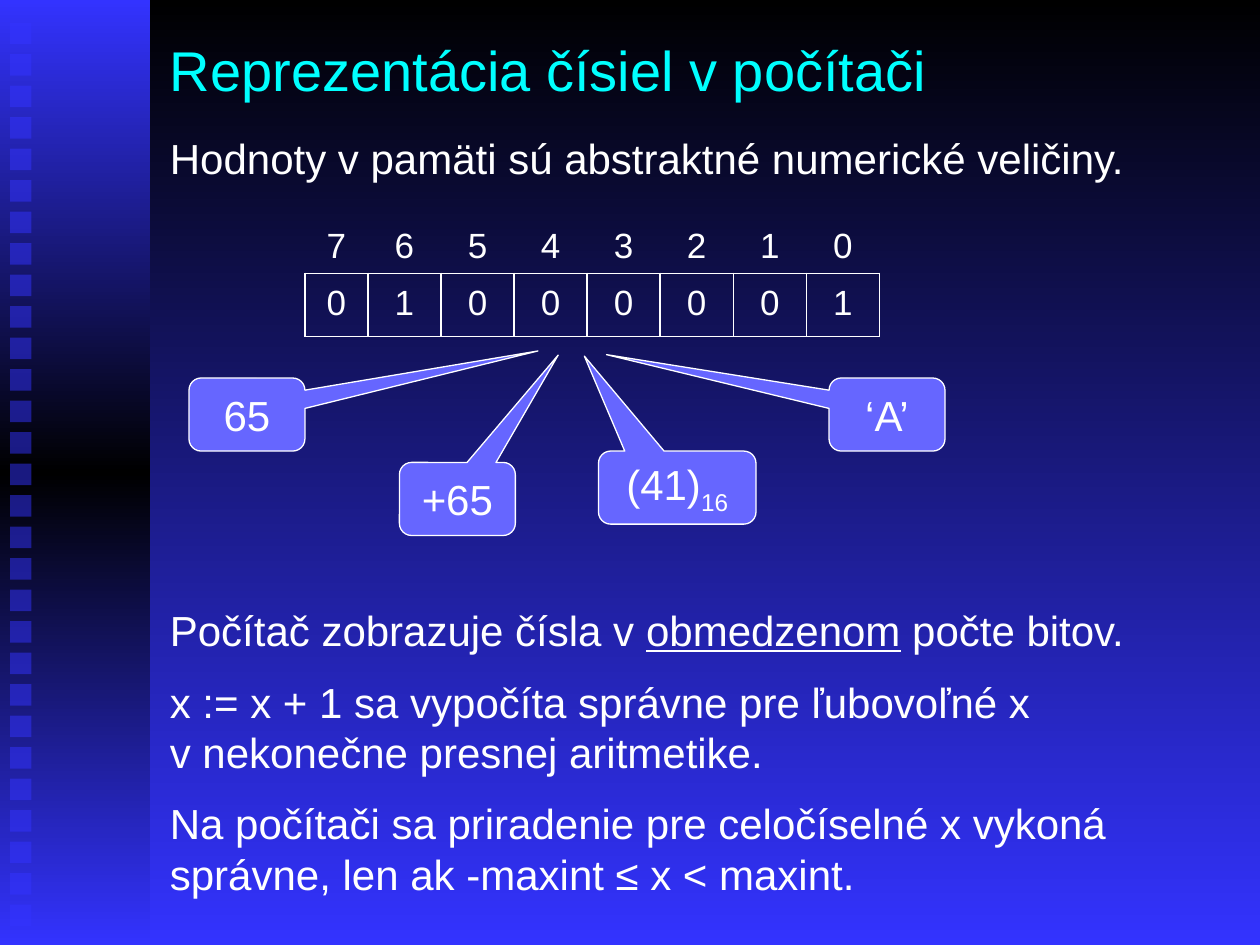
"""Build a slide on how numbers are represented in a computer."""
from copy import deepcopy

from lxml import etree
from pptx import Presentation
from pptx import util as u
from pptx.dml.color import RGBColor
from pptx.enum import shapes, text
from pptx.oxml.ns import qn

HUES = {"black": "000000", "blue": "3333FF", "cyan": "00FFFF",
        "white": "FFFFFF", "lilac": "6666FF"}
CALLS = [
    (1.5, 3, 0.92, (2.51, -0.87), ["65"]),
    (3.17, 3.67, 0.92, (0.87, -1.97), ["+65"]),
    (4.75, 3.58, 1.25, (-0.59, -1.8), ["(41)", "16"]),
    (6.58, 3, 0.92, (-2.42, -0.82), ["‘A’"]),
]
BODY = [
    (0, ["Počítač zobrazuje čísla v ", "obmedzenom", " počte bitov."]),
    (12, ["x := x + 1 sa vypočíta správne pre ľubovoľné x"]),
    (0, ["v nekonečne presnej aritmetike."]),
    (12, ["Na počítači sa priradenie pre celočíselné x vykoná správne, "
          "len ak -maxint ≤ x < maxint."]),
]


def hue(name):
    """Return the named colour."""
    return RGBColor.from_string(HUES[name])


def box(at):
    """Turn a tuple of inches into lengths."""
    return [u.Inches(n) for n in at]


def style(par, size=24, name="white"):
    """Format every run of a paragraph."""
    for run in par.runs:
        run.font.size = u.Pt(size)
        run.font.name = "Arial"
        run.font.color.rgb = hue(name)


def fade(fill, root, names):
    """Fill from top to bottom through evenly spaced colours."""
    fill.gradient()
    fill.gradient_angle = 270
    stops = next(root.iter(qn("a:gsLst")))
    while len(stops) < len(names):
        stops.append(deepcopy(stops[-1]))
    for i, (stop, name) in enumerate(zip(fill.gradient_stops, names)):
        stop.color.rgb = hue(name)
        stop.position = i / (len(names) - 1)


def block(slide, kind, at):
    """Add a plain shape without shadow or line."""
    shape = slide.shapes.add_shape(kind, *box(at))
    shape.shadow.inherit = False
    shape.line.fill.background()
    return shape


def band(slide):
    """Draw the left band with its column of faint squares."""
    rect = shapes.MSO_SHAPE.RECTANGLE
    strip = block(slide, rect, (0, 0, 1.19, 7.5))
    fade(strip.fill, strip.element, ["blue", "black", "blue"])
    for i in range(29):
        dot = block(slide, rect, (0.08, 0.18 + 0.25 * i, 0.17, 0.17))
        dot.fill.solid()
        dot.fill.fore_color.rgb = hue("blue")
        tint = next(dot.element.iter(qn("a:srgbClr")))
        etree.SubElement(tint, qn("a:alpha"), val="50000")


def label(slide, at, paras, size=24, name="white"):
    """Add a wrapped text box of (space, runs) paragraphs."""
    frame = slide.shapes.add_textbox(*box(at)).text_frame
    frame.word_wrap = True
    for i, (gap, parts) in enumerate(paras):
        par = frame.add_paragraph() if i else frame.paragraphs[0]
        if gap:
            par.space_before = u.Pt(gap)
        for part in parts:
            par.add_run().text = part
        style(par, size, name)
    return frame


def edge(cell, sides):
    """Draw white borders on the given sides and none elsewhere."""
    props = cell._tc.get_or_add_tcPr()
    for side in "LRTB":
        line = etree.SubElement(props, qn("a:ln" + side), w="12700")
        if side in sides:
            fill = etree.SubElement(line, qn("a:solidFill"))
            etree.SubElement(fill, qn("a:srgbClr"), val=HUES["white"])
        else:
            etree.SubElement(line, qn("a:noFill"))


def bits(slide):
    """Add the table of bit numbers and bit values."""
    rows = [("76543210", 0.42, 0.05, 0, "B"),
            ("01000001", 0.5, 0.08, 0.05, "LRTB")]
    grid = slide.shapes.add_table(2, 8, *box((2.42, 1.75, 4.58, 0.92))).table
    grid.first_row = grid.horz_banding = False
    for i, col in enumerate(grid.columns):
        col.width = u.Inches(0.58 if i else 0.5)
    for r, (vals, high, top, base, sides) in enumerate(rows):
        grid.rows[r].height = u.Inches(high)
        for c, val in enumerate(vals):
            cell = grid.cell(r, c)
            edge(cell, sides)
            cell.fill.background()
            cell.margin_left = cell.margin_right = u.Inches(0.04)
            cell.margin_top = u.Inches(top)
            cell.margin_bottom = u.Inches(base)
            par = cell.text_frame.paragraphs[0]
            par.text = val
            par.alignment = text.PP_ALIGN.CENTER
            style(par, 20)


def call(slide, left, top, wide, tip, parts):
    """Add a callout; a second part is set as subscript."""
    kind = shapes.MSO_SHAPE.ROUNDED_RECTANGULAR_CALLOUT
    shape = block(slide, kind, (left, top, wide, 0.58))
    for i, val in enumerate(tip):
        shape.adjustments[i] = val
    shape.fill.solid()
    shape.fill.fore_color.rgb = hue("lilac")
    shape.line.color.rgb = hue("white")
    shape.line.width = u.Pt(0.75)
    par = shape.text_frame.paragraphs[0]
    par.alignment = text.PP_ALIGN.CENTER
    for part in parts:
        par.add_run().text = part
    style(par)
    for run in par.runs[1:]:
        run.font._element.set("baseline", "-25000")


def main():
    """Build and save the slide."""
    deck = Presentation()
    deck.slide_width, deck.slide_height = box((10, 7.5))
    slide = deck.slides.add_slide(deck.slide_layouts[6])
    fade(slide.background.fill, slide.element, ["black", "blue"])
    band(slide)
    head = label(slide, (1.25, 0.17, 8.5, 0.75),
                 [(0, ["Reprezentácia čísiel v počítači"])], 32, "cyan")
    head.vertical_anchor = text.MSO_ANCHOR.MIDDLE
    label(slide, (1.25, 1, 8.58, 0.5),
          [(0, ["Hodnoty v pamäti sú abstraktné numerické veličiny."])])
    bits(slide)
    for item in CALLS:
        call(slide, *item)
    body = label(slide, (1.25, 4.75, 8.5, 2.52), BODY)
    body.paragraphs[0].runs[1].font.underline = True
    deck.save("out.pptx")


if __name__ == "__main__":
    main()
